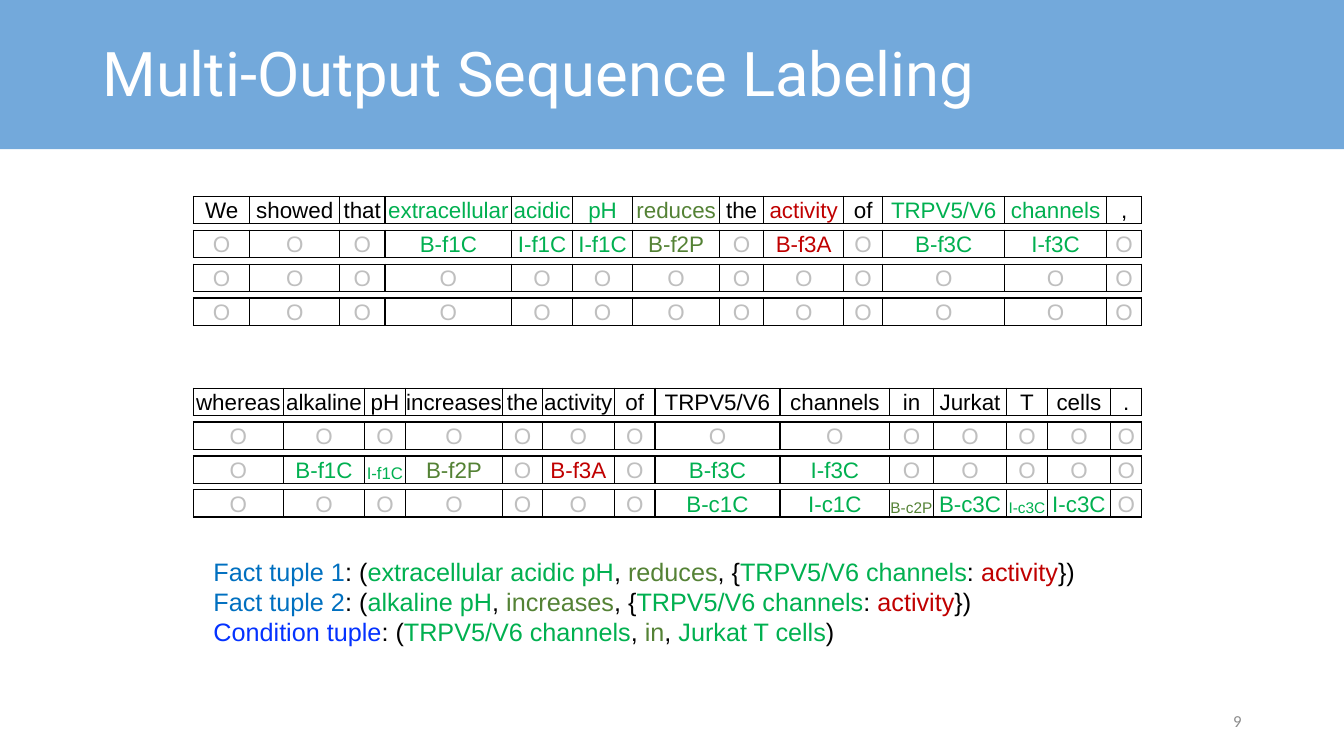
from lxml import etree
from pptx import Presentation
from pptx import util as u
from pptx.dml.color import RGBColor
from pptx.enum import shapes, text
from pptx.oxml import ns

COLORS = {
    "band": "5B9BD5", "white": "FFFFFF", "black": "000000",
    "page": "8C8C8C", "none": "BFBFBF", "concept": "00B050",
    "predicate": "548235", "attribute": "C00000",
    "fact": "0070C0", "condition": "0432FF",
}
ROLES = {"C": "concept", "P": "predicate", "A": "attribute", "O": "none"}

LEFT, ROW_HEIGHT, ROW_PITCH = 138.2, 19.4, 24.2

# Each label may carry a smaller font size after "@"
SENTENCES = [
    {
        "top": 140.3,
        "widths": [40.3, 64.1, 32.4, 90.7, 43.2, 43.2, 61.9, 31.7, 56.9,
                   28.1, 87.1, 72.7, 25.2],
        "words": "We showed that extracellular acidic pH reduces the "
                 "activity of TRPV5/V6 channels ,",
        "labels": ["O O O B-f1C I-f1C I-f1C B-f2P O B-f3A O B-f3C I-f3C O",
                   "O " * 13, "O " * 13],
        "color_words": True,
    },
    {
        "top": 277.3,
        "widths": [64.1, 58.3, 28.8, 69.8, 28.1, 51.8, 28.8, 89.3, 78.5,
                   31, 52.6, 28.8, 45.4, 22.3],
        "words": "whereas alkaline pH increases the activity of TRPV5/V6 "
                 "channels in Jurkat T cells .",
        "labels": ["O " * 14,
                   "O B-f1C I-f1C@12 B-f2P O B-f3A O B-f3C I-f3C O O O O O",
                   "O O O O O O O B-c1C I-c1C B-c2P@11 B-c3C I-c3C@11 "
                   "I-c3C O"],
        "color_words": False,
    },
]


class Deck:
    """Style helpers for the current slide; lengths are in points."""

    def __init__(self, prs):
        self.s = prs.slides.add_slide(prs.slide_layouts[6])

    def run(self, p, words, color, size, font="Arial"):
        r = p.add_run()
        r.text = words
        for name, value in {"name": font, "size": u.Pt(size)}.items():
            setattr(r.font, name, value)
        r.font.color.rgb = RGBColor.from_string(COLORS[color])

    def band(self, x, y, w, h, color, opacity):
        sp = self.s.shapes.add_shape(shapes.MSO_SHAPE.RECTANGLE,
                                     u.Pt(x), u.Pt(y), u.Pt(w), u.Pt(h))
        sp.shadow.inherit = False
        sp.fill.solid()
        sp.fill.fore_color.rgb = RGBColor.from_string(COLORS[color])
        sp.line.fill.background()
        clr = sp.fill._xPr.find(".//" + ns.qn("a:srgbClr"))
        etree.SubElement(clr, ns.qn("a:alpha"), val=str(opacity * 1000))

    def text(self, x, y, w, h, lines, size, font="Arial", fmt=None, box=None):
        sp = self.s.shapes.add_textbox(u.Pt(x), u.Pt(y), u.Pt(w), u.Pt(h))
        tf = sp.text_frame
        for name, value in {"word_wrap": True, **(box or {})}.items():
            setattr(tf, name, value)
        for i, line in enumerate(lines):
            p = tf.add_paragraph() if i else tf.paragraphs[0]
            for name, value in (fmt or {}).items():
                setattr(p, name, value)
            for words, color in line:
                self.run(p, words, color, size, font)

    def border(self, cell):
        tcPr = cell._tc.get_or_add_tcPr()
        for side in ("lnL", "lnR", "lnT", "lnB"):
            ln = etree.SubElement(tcPr, ns.qn("a:" + side), w="12700")
            fill = etree.SubElement(ln, ns.qn("a:solidFill"))
            etree.SubElement(fill, ns.qn("a:srgbClr"), val=COLORS["black"])

    def row(self, x, y, widths, cells):
        frame = self.s.shapes.add_table(1, len(widths), u.Pt(x), u.Pt(y),
                                        u.Pt(sum(widths)), u.Pt(ROW_HEIGHT))
        table = frame.table
        table.first_row = table.horz_banding = False
        fmt = {"margin_left": 0, "margin_right": 0, "margin_top": 0,
               "margin_bottom": 0,
               "vertical_anchor": text.MSO_ANCHOR.BOTTOM}
        for i, (width, (words, color, size)) in enumerate(zip(widths, cells)):
            table.columns[i].width = u.Pt(width)
            cell = table.cell(0, i)
            for name, value in fmt.items():
                setattr(cell, name, value)
            self.border(cell)
            cell.fill.background()
            p = cell.text_frame.paragraphs[0]
            p.alignment = text.PP_ALIGN.CENTER
            self.run(p, words, color, size)


def label_cells(labels):
    cells = []
    for item in labels.split():
        label, _, size = item.partition("@")
        cells.append((label, ROLES[label[-1]], int(size or 16)))
    return cells


def word_cells(sentence):
    words = sentence["words"].split()
    colors = ["black"] * len(words)
    if sentence["color_words"]:
        colors = ["black" if color == "none" else color
                  for _, color, _ in label_cells(sentence["labels"][0])]
    return [(word, color, 16) for word, color in zip(words, colors)]


def tuple_line(name, name_color, subject, relation, target):
    return [(name, name_color), (": (", "black"), (subject, "concept"),
            (", ", "black"), (relation, "predicate"), *target]


def main():
    prs = Presentation()
    prs.slide_width, prs.slide_height = u.Pt(960), u.Pt(540)
    deck = Deck(prs)
    middle = {"vertical_anchor": text.MSO_ANCHOR.MIDDLE}

    # Title band and page number
    deck.band(0, 0, 960, 106.6, "band", 85)
    deck.text(66, 2.2, 828, 104.4,
              [[("Multi-Output Sequence Labeling", "white")]], 44, "Roboto",
              {"line_spacing": 0.9}, middle)
    deck.text(678, 500.5, 216, 28.8, [[("9", "page")]], 12, "Calibri",
              {"alignment": text.PP_ALIGN.RIGHT}, middle)

    # Sentences, each followed by its three label rows
    for sentence in SENTENCES:
        rows = [word_cells(sentence), *map(label_cells, sentence["labels"])]
        for i, cells in enumerate(rows):
            deck.row(LEFT, sentence["top"] + i * ROW_PITCH,
                     sentence["widths"], cells)

    # Extracted tuples
    channels = "TRPV5/V6 channels"
    fact_target = [(", {", "black"), (channels, "concept"), (": ", "black"),
                   ("activity", "attribute"), ("})", "black")]
    place = [(", ", "black"), ("Jurkat T cells", "concept"), (")", "black")]
    deck.text(145.4, 393.8, 670.3, 72.7, [
        tuple_line("Fact tuple 1", "fact", "extracellular acidic pH",
                   "reduces", fact_target),
        tuple_line("Fact tuple 2", "fact", "alkaline pH", "increases",
                   fact_target),
        tuple_line("Condition tuple", "condition", channels, "in", place),
    ], 18, box={"auto_size": text.MSO_AUTO_SIZE.SHAPE_TO_FIT_TEXT})

    prs.save("out.pptx")


if __name__ == "__main__":
    main()
